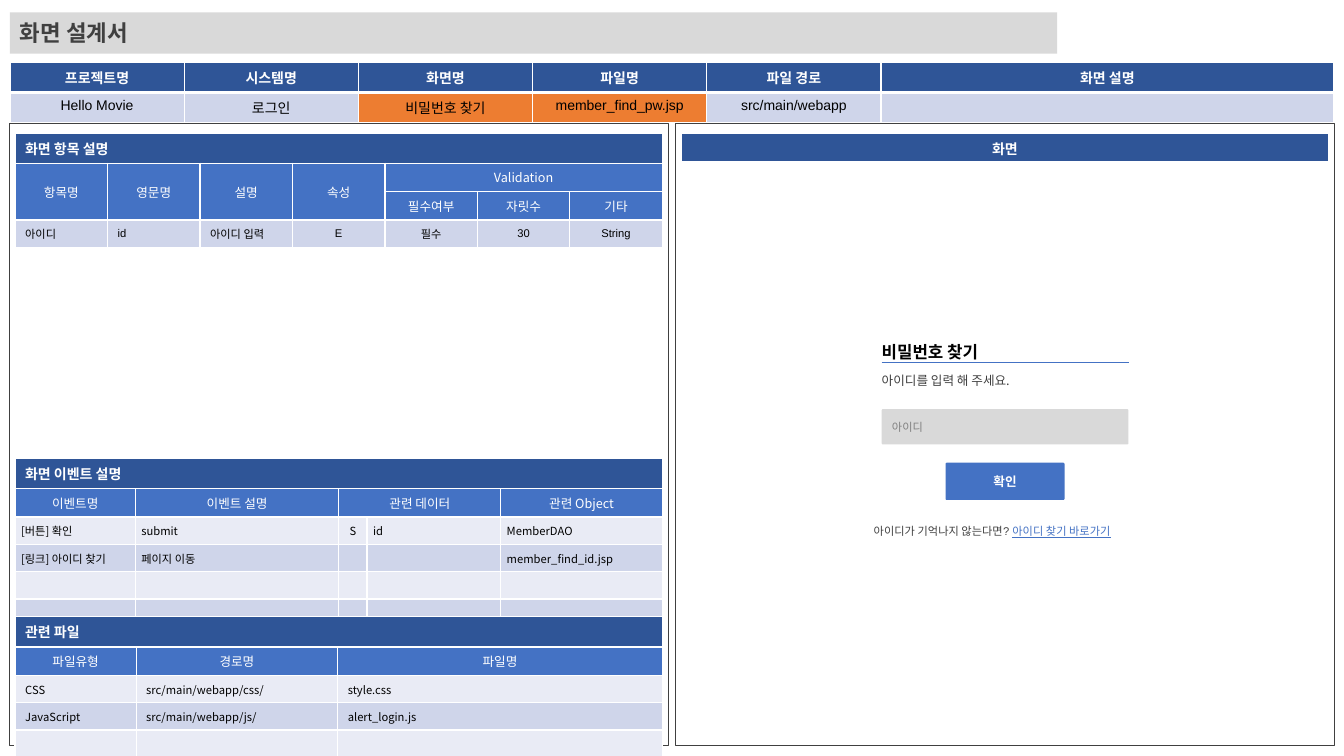
from lxml import etree
from pptx import Presentation
from pptx.dml.color import RGBColor
from pptx.enum.shapes import MSO_CONNECTOR, MSO_SHAPE
from pptx.enum.text import MSO_ANCHOR, MSO_AUTO_SIZE, PP_ALIGN
from pptx.oxml.ns import qn
from pptx.util import Cm, Pt

RECT, ROUND = MSO_SHAPE.RECTANGLE, MSO_SHAPE.ROUNDED_RECTANGLE
LINE = MSO_CONNECTOR.STRAIGHT
TOP, MID = MSO_ANCHOR.TOP, MSO_ANCHOR.MIDDLE
LEFT, MIDST = PP_ALIGN.LEFT, PP_ALIGN.CENTER
FIT, FIXED = MSO_AUTO_SIZE.SHAPE_TO_FIT_TEXT, MSO_AUTO_SIZE.NONE

INK = {"white": "FFFFFF", "black": "000000", "dark": "404040", "gray": "808080",
       "ash": "D9D9D9", "navy": "2F5597", "blue": "4472C4", "orange": "ED7D31",
       "mid": "CFD5EA", "pale": "E9EBF5"}
NOTO, ARIAL = "Noto Sans CJK KR", "Arial"
TALL, HEAD, ROW = 0.76, 0.71, 0.69


def color(name):
    return RGBColor.from_string(INK[name])


def write(para, text, size, ink, font=NOTO, bold=False, under=False):
    run = para.add_run()
    run.text = text
    face = run.font
    face.size, face.bold, face.name = Pt(size), bold, font
    face.underline = under
    face.color.rgb = color(ink)
    etree.SubElement(run._r.get_or_add_rPr(), qn("a:ea"), typeface=NOTO)


def place(shape, x, y, w, h):
    shape.left, shape.top, shape.width, shape.height = Cm(x), Cm(y), Cm(w), Cm(h)


def block(slide, kind, x, y, w, h, fill=None):
    shape = slide.shapes.add_shape(kind, Cm(x), Cm(y), Cm(w), Cm(h))
    shape.shadow.inherit = False
    shape.line.fill.background()
    if fill:
        shape.fill.solid()
        shape.fill.fore_color.rgb = color(fill)
    else:
        shape.fill.background()
    if kind == ROUND:
        shape.adjustments[0] = 0.04
    shape.text_frame.vertical_anchor = MID
    return shape


def label(slide, x, y, w, h):
    box = slide.shapes.add_textbox(Cm(x), Cm(y), Cm(w), Cm(h))
    frame = box.text_frame
    frame.margin_left = frame.margin_right = frame.margin_top = frame.margin_bottom = 0
    frame.word_wrap = False
    frame.auto_size = FIT
    return frame.paragraphs[0]


def edge(cell, base):
    props = cell._tc.get_or_add_tcPr()
    for side, width in zip("LRTB", (1, 1, 1, base)):
        line = etree.SubElement(props, qn("a:ln" + side), w=str(Pt(width)))
        paint = etree.SubElement(line, qn("a:solidFill"))
        etree.SubElement(paint, qn("a:srgbClr"), val=INK["white"])


def fill_cell(cell, text, size, ink, back, font=NOTO, bold=False,
              align=MIDST, anchor=MID, base=1):
    edge(cell, base)
    cell.fill.solid()
    cell.fill.fore_color.rgb = color(back)
    cell.vertical_anchor = anchor
    para = cell.text_frame.paragraphs[0]
    para.alignment = align
    if text:
        write(para, text, size, ink, font, bold)
    else:
        etree.SubElement(para._p, qn("a:endParaRPr"), sz=str(size * 100))


def grid(slide, x, y, cols, rows):
    frame = slide.shapes.add_table(len(rows), len(cols), Cm(x), Cm(y),
                                   Cm(sum(cols)), Cm(sum(rows)))
    table = frame.table
    for col, width in zip(table.columns, cols):
        col.width = Cm(width)
    for row, height in zip(table.rows, rows):
        row.height = Cm(height)
    return table


def section(slide, x, y, cols, name, heads, body, tones,
            font=NOTO, mids=(), pad=None, spans=()):
    rows = [TALL] + [HEAD] * len(heads) + [ROW] * len(body)
    table = grid(slide, x, y, cols, rows)
    for c in range(len(cols)):
        fill_cell(table.cell(0, c), "" if c else name, 10, "white", "navy",
                  bold=True, align=LEFT)
    for r, texts in enumerate(heads, 1):
        for c, text in enumerate(texts):
            fill_cell(table.cell(r, c), text, 9, "white", "blue")
    for r, texts in enumerate(body):
        for c, text in enumerate(texts):
            cell = table.cell(r + 1 + len(heads), c)
            fill_cell(cell, text, 8, "black", tones[r % len(tones)], font,
                      align=MIDST if c in mids else LEFT)
            if pad:
                cell.margin_left = cell.margin_right = Cm(pad)
    for r, c, down, over in ((0, 0, 1, len(cols)), *spans):
        table.cell(r, c).merge(table.cell(r + down - 1, c + over - 1))


def banner(slide, x, y, w, h):
    title = slide.shapes.title
    place(title, x, y, w, h)
    title.fill.solid()
    title.fill.fore_color.rgb = color("ash")
    frame = title.text_frame
    frame.auto_size, frame.vertical_anchor = FIXED, MID
    frame.paragraphs[0].alignment = LEFT
    write(frame.paragraphs[0], "화면 설계서", 16, "dark", bold=True)


def summary(slide, x, y):
    items = [("프로젝트명", "Hello Movie", "mid"), ("시스템명", "로그인", "mid"),
             ("화면명", "비밀번호 찾기", "orange"),
             ("파일명", "member_find_pw.jsp", "orange"),
             ("파일 경로", "src/main/webapp", "mid"), ("화면 설명", "", "mid")]
    table = grid(slide, x, y, [4.39] * 5 + [11.41], [TALL] * 2)
    for c, (head, text, back) in enumerate(items):
        fill_cell(table.cell(0, c), head, 10, "white", "navy", ARIAL, True,
                  anchor=TOP, base=3)
        fill_cell(table.cell(1, c), text, 10, "black", back, ARIAL, anchor=TOP)


def panel(slide, x, y, w, h):
    frame = block(slide, RECT, x, y, w, h)
    frame.line.color.rgb = color("dark")
    frame.line.width = Pt(0.5)


def details(slide, x, y, w, h):
    panel(slide, x, y, w, h)
    left = x + 0.15
    section(slide, left, y + 0.23, [2.33] * 7, "화면 항목 설명",
            [["항목명", "영문명", "설명", "속성", "Validation", "", ""],
             ["", "", "", "", "필수여부", "자릿수", "기타"]],
            [["아이디", "id", "아이디 입력", "E", "필수", "30", "String"]],
            ["mid"], ARIAL, range(3, 7),
            spans=[(1, c, 2, 1) for c in range(4)] + [(1, 4, 1, 3)])
    section(slide, left, y + 8.43, [3.03, 5.13, 0.71, 3.37, 4.07], "화면 이벤트 설명",
            [["이벤트명", "이벤트 설명", "관련 데이터", "", "관련 Object"]],
            [["[버튼] 확인", "submit", "S", "id", "MemberDAO"],
             ["[링크] 아이디 찾기", "페이지 이동", "", "", "member_find_id.jsp"],
             [""] * 5, [""] * 5],
            ["pale", "mid"], mids=[2], pad=0.15, spans=[(1, 2, 1, 2)])
    section(slide, left, y + 12.42, [3.05, 5.08, 8.18], "관련 파일",
            [["파일유형", "경로명", "파일명"]],
            [["CSS", "src/main/webapp/css/", "style.css"],
             ["JavaScript", "src/main/webapp/js/", "alert_login.js"], [""] * 3],
            ["pale", "mid"])


def form(slide, x, y, w):
    write(label(slide, x, y, 2.72, 0.51), "비밀번호 찾기", 12, "black", bold=True)
    rule = slide.shapes.add_connector(LINE, Cm(x), Cm(y + 0.53), Cm(x + w), Cm(y + 0.53))
    rule.line.color.rgb = color("blue")
    rule.line.width = Pt(1)
    etree.SubElement(rule._element.spPr, qn("a:effectLst"))
    write(label(slide, x, y + 0.79, 3.61, 0.38), "아이디를 입력 해 주세요.", 9, "dark")
    field = block(slide, ROUND, x, y + 1.7, w, 0.89, "ash").text_frame.paragraphs[0]
    field.alignment = LEFT
    write(field, "아이디", 8, "gray")
    wide = 3
    button = block(slide, ROUND, x + (w - wide) / 2, y + 3.05, wide, 0.94, "blue")
    para = button.text_frame.paragraphs[0]
    para.alignment = MIDST
    write(para, "확인", 9, "white", ARIAL, True)
    hint = label(slide, x - 0.2, y + 4.6, 6.63, 0.33)
    write(hint, "아이디가 기억나지 않는다면? ", 8, "dark", ARIAL)
    write(hint, "아이디 찾기 바로가기", 8, "blue", ARIAL, under=True)


def screen(slide, x, y, w, h):
    panel(slide, x, y, w, h)
    table = grid(slide, x + 0.15, y + 0.23, [w - 0.3], [HEAD])
    fill_cell(table.cell(0, 0), "화면", 10, "white", "navy", bold=True,
              anchor=TOP, base=3)
    form(slide, x + 5.2, y + 5.49, 6.22)


def main():
    deck = Presentation()
    deck.slide_width, deck.slide_height = Cm(33.87), Cm(19.05)
    slide = deck.slides.add_slide(deck.slide_layouts[5])
    banner(slide, 0.25, 0.31, 26.39, 1.04)
    summary(slide, 0.25, 1.57)
    details(slide, 0.23, 3.12, 16.61, 15.67)
    screen(slide, 17.02, 3.12, 16.61, 15.67)
    deck.save("out.pptx")


if __name__ == "__main__":
    main()
